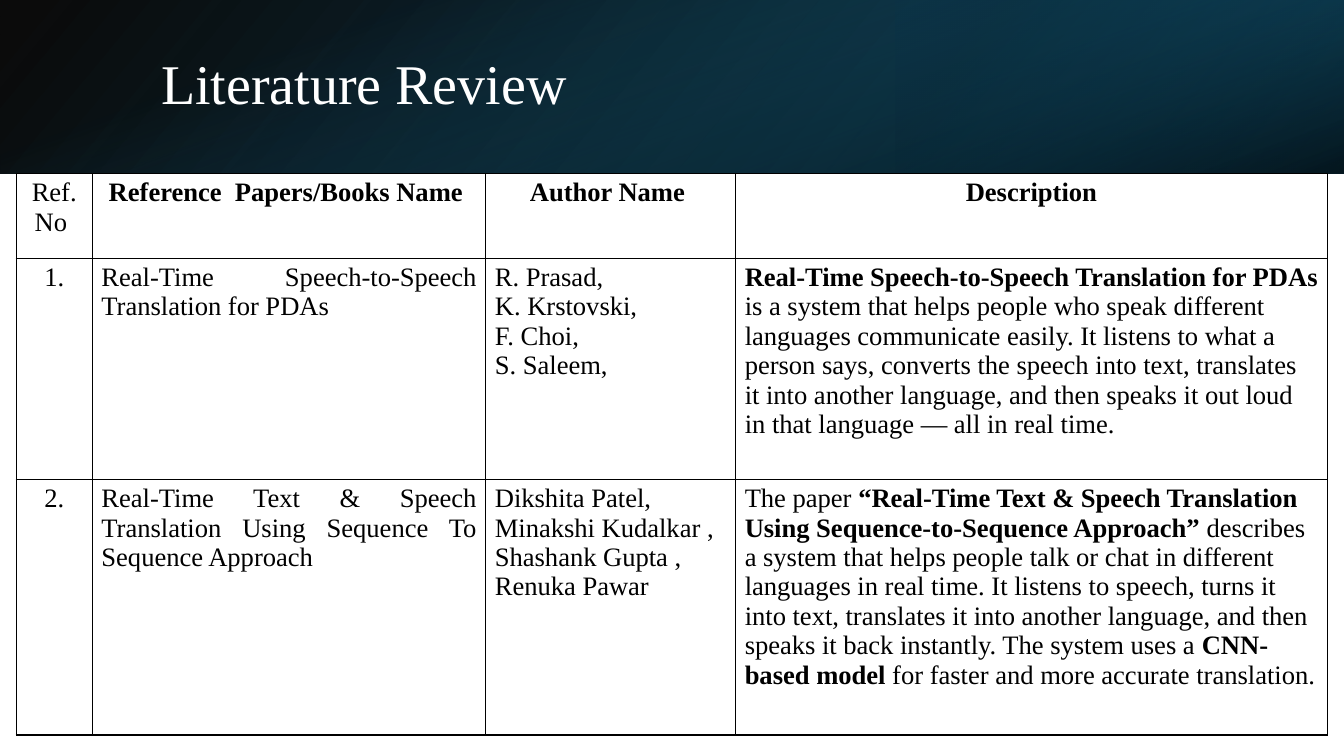
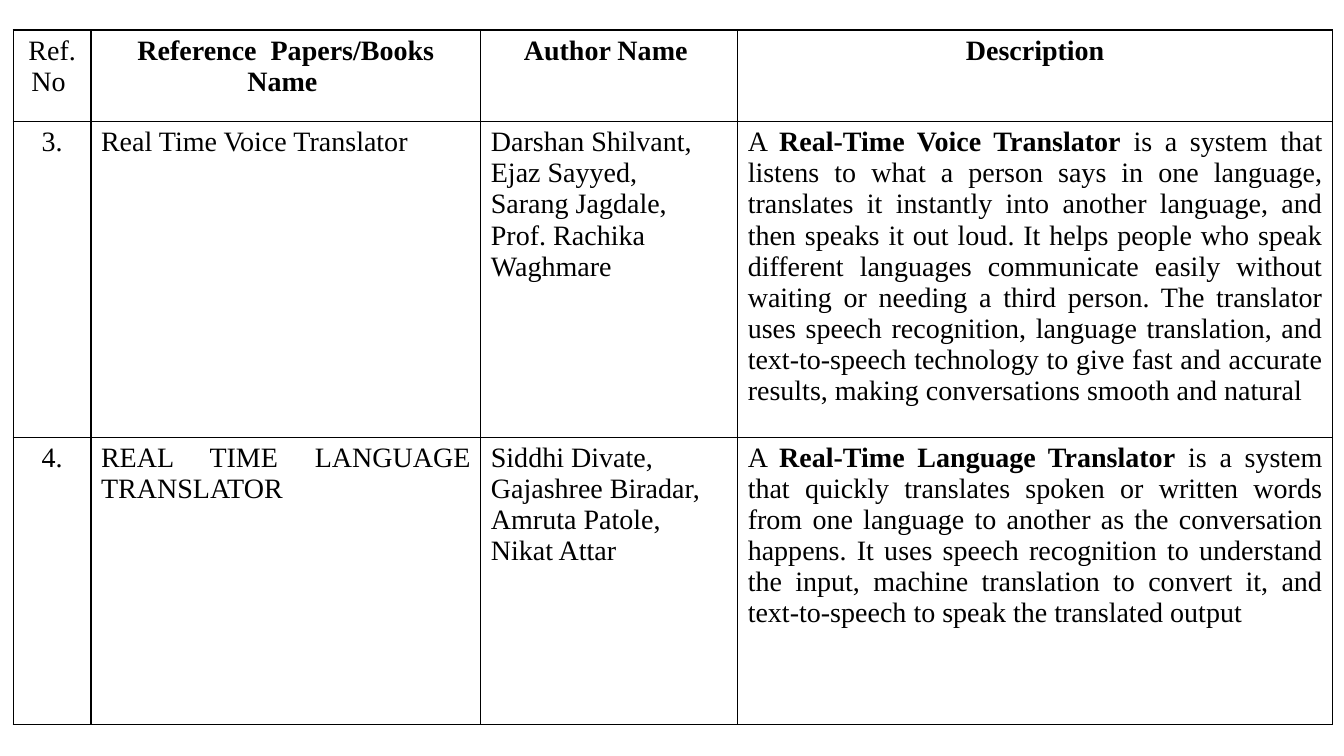
from lxml import etree
from pptx import Presentation
from pptx.dml.color import RGBColor
from pptx.enum.shapes import MSO_SHAPE
from pptx.enum.text import MSO_ANCHOR, PP_ALIGN
from pptx.oxml import parse_xml
from pptx.oxml.ns import nsdecls, qn
from pptx.util import Pt

RECT = MSO_SHAPE.RECTANGLE
MIDDLE = MSO_ANCHOR.MIDDLE
LEFT, CENTER, JUST = PP_ALIGN.LEFT, PP_ALIGN.CENTER, PP_ALIGN.JUSTIFY

WIDE, HIGH, BAND = 960, 540, 124
FONT = "Times New Roman"
HUES = {
    "black": "000000",
    "white": "FFFFFF",
    "teal": "104862",
    "navy": "0B3041",
    "blue": "156082",
}
HEADS = ["Ref. No ", "**Reference  Papers/Books Name **",
         "**Author Name **", "**Description**"]


class Deck:
    def __init__(self):
        self.prs = Presentation()
        self.prs.slide_width, self.prs.slide_height = Pt(WIDE), Pt(HIGH)
        self.now = None

    def slide(self, kind):
        self.now = self.prs.slides.add_slide(self.prs.slide_layouts[kind])

    def text(self, par, words, size, hue, align):
        """Fill a paragraph; parts between ** marks are bold."""
        par.alignment = align
        for i, part in enumerate(words.split("**")):
            if part:
                run = par.add_run()
                run.text = part
                font = run.font
                font.name, font.size, font.bold = FONT, Pt(size), i % 2 == 1
                font.color.rgb = RGBColor.from_string(HUES[hue])

    def title(self, words, box):
        shape = self.now.shapes.title
        shape.left, shape.top, shape.width, shape.height = map(Pt, box)
        frame = shape.text_frame
        frame.vertical_anchor = MIDDLE
        par = frame.paragraphs[0]
        par.line_spacing = 0.9
        self.text(par, words, 40, "white", LEFT)
        self.now.shapes.element.append(shape.element)  # bring to front

    def fade(self, box, stops, angle, turn=0, flip=False):
        """Add a gradient rectangle; stops are (place, hue, opacity) in percent."""
        shape = self.now.shapes.add_shape(RECT, *map(Pt, box))
        shape.shadow.inherit = False
        shape.rotation = turn
        shape.line.fill.background()
        props = shape.element.spPr
        if flip:
            props.find(qn("a:xfrm")).set("flipH", "1")
        fill = shape.fill
        fill.gradient()
        fill.gradient_angle = 360 - angle
        for stop, (place, hue, _) in zip(fill.gradient_stops, stops):
            stop.position = place / 100
            stop.color.rgb = RGBColor.from_string(HUES[hue])
        for tint, (_, _, alpha) in zip(props.iter(qn("a:srgbClr")), stops):
            etree.SubElement(tint, qn("a:alpha")).set("val", str(alpha * 1000))

    def band(self):
        self.fade((0, 0, WIDE, BAND),
                  [(0, "black", 96), (100, "teal", 100)], 140, flip=True)
        self.fade((WIDE * 2 / 3, 0, WIDE / 3, BAND),
                  [(19, "navy", 68), (100, "blue", 79)], 320, 180, True)
        side = (WIDE - BAND) / 2
        self.fade((side, -side, BAND, WIDE),
                  [(23, "blue", 0), (99, "black", 74)], 340, 90)

    def edge(self, cell):
        """Draw thin lines on all four sides of a cell."""
        props = cell._tc.get_or_add_tcPr()
        for side in "LRTB":
            props.append(parse_xml(
                f'<a:ln{side} {nsdecls("a")} w="12700"><a:solidFill>'
                f'<a:srgbClr val="{HUES["black"]}"/></a:solidFill></a:ln{side}>'))

    def table(self, spot, cols, rows, data, size, pad, last):
        """Add a review table; last aligns the description column."""
        grid = self.now.shapes.add_table(
            len(rows), len(cols), *map(Pt, (*spot, sum(cols), sum(rows)))).table
        grid.first_row = grid.horz_banding = False
        for col, width in zip(grid.columns, cols):
            col.width = Pt(width)
        for row, height in zip(grid.rows, rows):
            row.height = Pt(height)
        for r, line in enumerate([HEADS] + data):
            aligns = [CENTER, JUST, JUST, last] if r else [CENTER] * 4
            for c, words in enumerate(line):
                cell = grid.cell(r, c)
                self.edge(cell)
                cell.fill.background()
                cell.margin_left = cell.margin_right = Pt(pad)
                cell.margin_top = cell.margin_bottom = Pt(pad / 2)
                frame = cell.text_frame
                for i, part in enumerate(words.split("\n")):
                    par = frame.add_paragraph() if i else frame.paragraphs[0]
                    self.text(par, part, size, "black", aligns[c])


FIRST = [
    ["1.", "Real-Time Speech-to-Speech Translation for PDAs",
     "R. Prasad, \nK. Krstovski,\nF. Choi,\nS. Saleem,",
     "**Real-Time Speech-to-Speech Translation for PDAs** is a system that "
     "helps people who speak different languages communicate easily. It "
     "listens to what a person says, converts the speech into text, "
     "translates it into another language, and then speaks it out loud in "
     "that language — all in real time."],
    ["2.", "Real-Time Text & Speech Translation Using Sequence To Sequence "
     "Approach ",
     "Dikshita Patel,\nMinakshi Kudalkar ,\nShashank Gupta ,\nRenuka Pawar",
     "The paper **“Real-Time Text & Speech Translation Using "
     "Sequence-to-Sequence Approach”** describes a system that helps people "
     "talk or chat in different languages in real time. It listens to "
     "speech, turns it into text, translates it into another language, and "
     "then speaks it back instantly. The system uses a **CNN-based model** "
     "for faster and more accurate translation."],
]
SECOND = [
    ["3.", "Real Time Voice Translator",
     "Darshan Shilvant,\nEjaz Sayyed,\nSarang Jagdale,\nProf. Rachika\n"
     "Waghmare",
     "A **Real-Time Voice Translator** is a system that listens to what a "
     "person says in one language, translates it instantly into another "
     "language, and then speaks it out loud. It helps people who speak "
     "different languages communicate easily without waiting or needing a "
     "third person. The translator uses speech recognition, language "
     "translation, and text-to-speech technology to give fast and accurate "
     "results, making conversations smooth and natural"],
    ["4.", "REAL TIME LANGUAGE TRANSLATOR",
     "Siddhi Divate,\nGajashree Biradar,\nAmruta Patole,\nNikat Attar",
     "A **Real-Time Language Translator** is a system that quickly "
     "translates spoken or written words from one language to another as the "
     "conversation happens. It uses speech recognition to understand the "
     "input, machine translation to convert it, and text-to-speech to speak "
     "the translated output"],
]


def main():
    deck = Deck()
    deck.slide(5)
    deck.band()
    deck.title("Literature Review", (108, 27.5, 790.5, 69))
    deck.table((11.5, BAND), (54.5, 281, 178.5, 422.5), (60.5, 158, 182.5),
               FIRST, 19, 6.5, LEFT)
    deck.slide(6)
    deck.table((9.5, 21.5), (55.5, 278.5, 183.5, 425), (65.5, 225.5, 205),
               SECOND, 20, 7.2, JUST)
    deck.prs.save("out.pptx")


if __name__ == "__main__":
    main()
